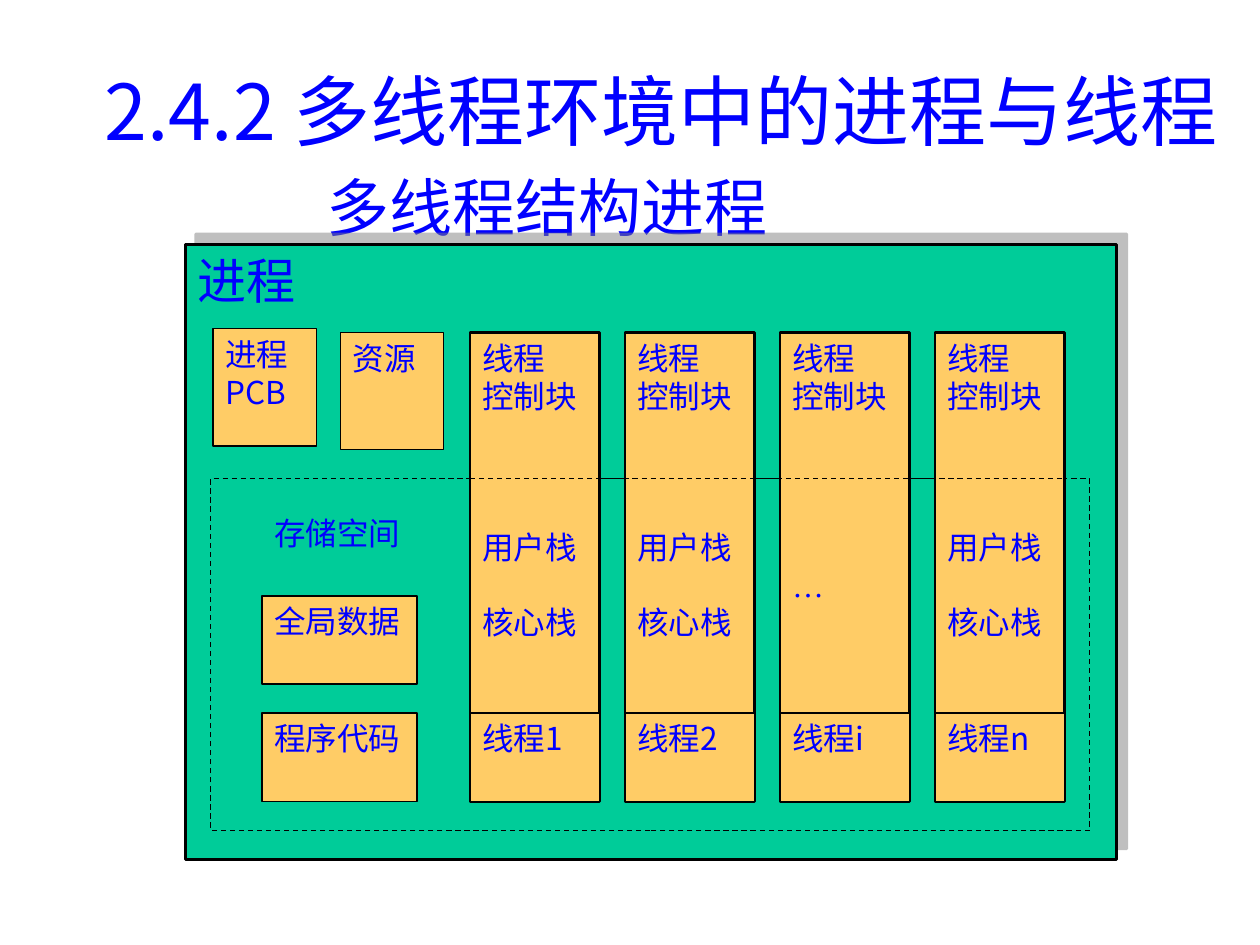
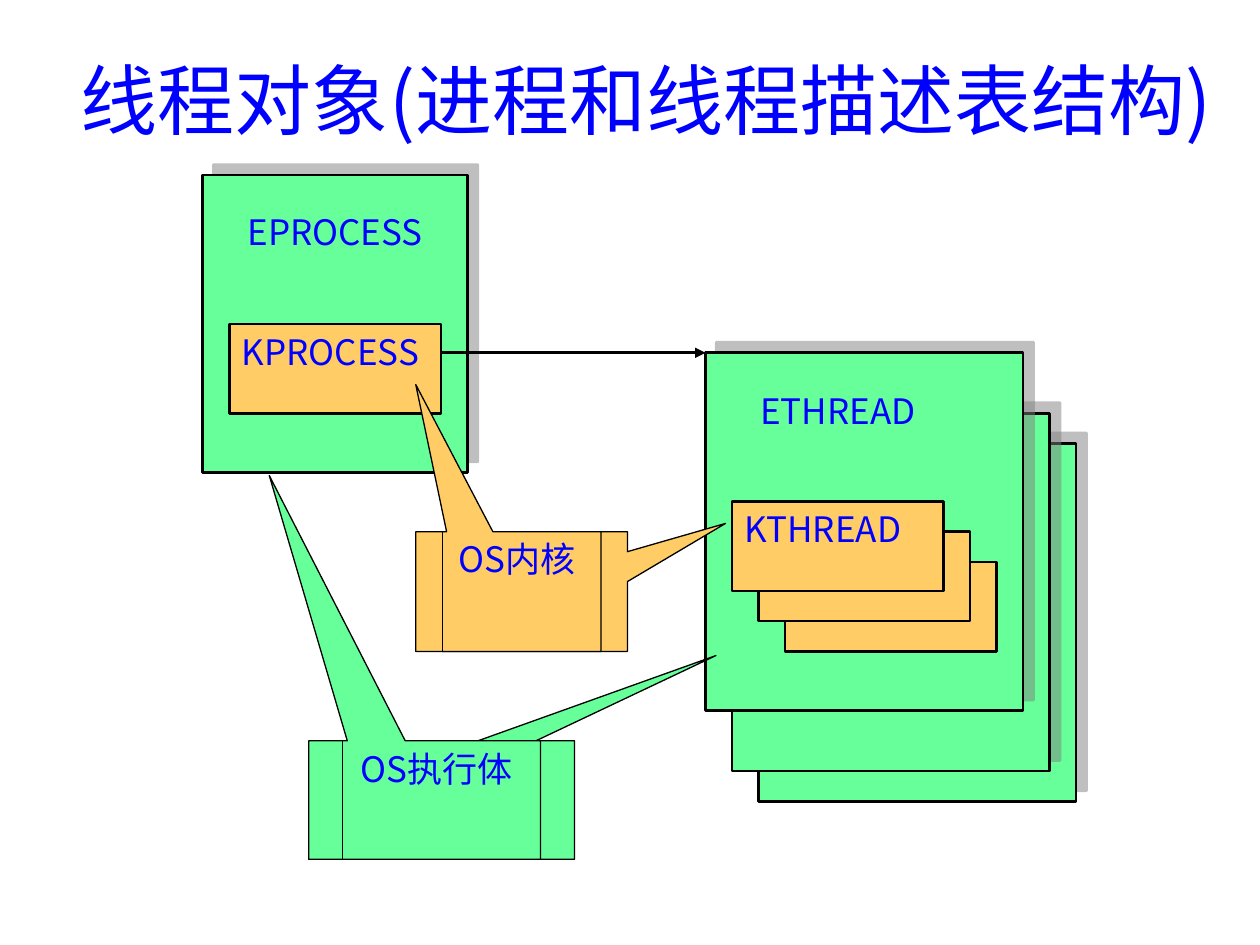
from lxml.etree import SubElement
from pptx import Presentation
from pptx.dml.color import RGBColor
from pptx.enum.dml import MSO_LINE
from pptx.enum.shapes import MSO_CONNECTOR, MSO_SHAPE
from pptx.enum.text import MSO_ANCHOR, PP_ALIGN
from pptx.oxml.ns import qn
from pptx.util import Inches, Pt

FONT, ELLIPSIS_FONT = "Noto Sans CJK JP", "Times New Roman"
TEXT, LINE, SHADOW = "0000FF", "000000", "808080"
TEAL, MINT, ORANGE = "00CC99", "66FF99", "FFCC66"
LINE_PITCH = 1.2
THIN, THICK = 0.75, 1.5


def color(value):
    return RGBColor.from_string(value)


class Deck:
    def __init__(self):
        self.presentation = Presentation()
        self.presentation.slide_width = Inches(10)
        self.presentation.slide_height = Inches(7.5)
        self.slide = None

    def new_slide(self, title, left, top, width, height):
        self.slide = self.presentation.slides.add_slide(self.presentation.slide_layouts[6])
        self.text_box(title, left, top, width, height, 44, PP_ALIGN.CENTER)

    def set_text(self, shape, lines, size, align=PP_ALIGN.LEFT, indent=0, gaps=()):
        """Fill a shape with paragraphs; gaps are the line heights left before each one."""
        text_frame = shape.text_frame
        text_frame.word_wrap = True
        text_frame.vertical_anchor = MSO_ANCHOR.TOP
        text_frame.margin_left = Inches(0.1 + indent)
        text_frame.text = lines
        for index, paragraph in enumerate(text_frame.paragraphs):
            paragraph.alignment = align
            paragraph.line_spacing = Pt(size * LINE_PITCH)
            if index < len(gaps) and gaps[index]:
                paragraph.space_before = Pt(size * LINE_PITCH * gaps[index])
            for run in paragraph.runs:
                run.font.name = ELLIPSIS_FONT if run.text == "…" else FONT
                run.font.size = Pt(size)
                run.font.color.rgb = color(TEXT)
                SubElement(run.font._element, qn("a:ea"), typeface=run.font.name)

    def text_box(self, text, left, top, width, height, size, align=PP_ALIGN.LEFT):
        shape = self.slide.shapes.add_textbox(
            Inches(left), Inches(top), Inches(width), Inches(height))
        self.set_text(shape, text, size, align)
        shape.text_frame.vertical_anchor = MSO_ANCHOR.MIDDLE

    def box(self, left, top, width, height, fill, line=THIN, shadow=False,
            dashed=False, kind=MSO_SHAPE.RECTANGLE):
        shape = self.slide.shapes.add_shape(
            kind, Inches(left), Inches(top), Inches(width), Inches(height))
        shape.fill.solid()
        shape.fill.fore_color.rgb = color(fill)
        if line:
            shape.line.color.rgb = color(LINE)
            shape.line.width = Pt(line)
        else:
            shape.line.fill.background()
        if dashed:
            shape.line.dash_style = MSO_LINE.DASH
        shape.shadow.inherit = False
        if shadow:
            self.add_shadow(shape)
        return shape

    def add_shadow(self, shape):
        effects = shape._element.spPr.find(qn("a:effectLst"))
        outer = SubElement(effects, qn("a:outerShdw"), blurRad="0", dist=str(Pt(8.5)),
                           dir=str(315 * 60000), algn="ctr", rotWithShape="0")
        shade = SubElement(outer, qn("a:srgbClr"), val=SHADOW)
        SubElement(shade, qn("a:alpha"), val="50000")

    def callout(self, left, top, width, height, fill, tip):
        """Box with a pointer; tip is its offset from the centre, in box sizes."""
        shape = self.box(left, top, width, height, fill,
                         kind=MSO_SHAPE.RECTANGULAR_CALLOUT)
        shape.adjustments[0], shape.adjustments[1] = tip
        return shape

    def connector(self, start, end, width=THIN, dashed=False, arrow=False):
        connector = self.slide.shapes.add_connector(
            MSO_CONNECTOR.STRAIGHT, *(Inches(value) for value in (*start, *end)))
        connector.line.color.rgb = color(LINE)
        connector.line.width = Pt(width)
        properties = connector._element.spPr
        if dashed:
            connector.line.dash_style = MSO_LINE.DASH
        if arrow:
            SubElement(properties.find(qn("a:ln")), qn("a:tailEnd"), type="triangle")
        SubElement(properties, qn("a:effectLst"))


def build_process_slide(deck):
    deck.new_slide("2.4.2 多线程环境中的进程与线程", 0.5, 0.37, 9.5, 1)
    deck.text_box("多线程结构进程", 2.49, 1.29, 4.5, 0.7, 36)
    process = deck.box(1.47, 1.94, 7.39, 4.88, TEAL, THICK, shadow=True)
    deck.set_text(process, "进程", 28)
    deck.box(1.67, 3.8, 6.98, 2.79, TEAL, dashed=True)

    parts = [
        ("进程PCB", 1.69, 2.61, 0.82, 0.93, ORANGE, THIN),
        ("资源", 2.7, 2.64, 0.82, 0.93, ORANGE, THIN),
        ("存储空间", 2.08, 4.03, 1.23, 0.7, TEAL, None),
        ("全局数据", 2.08, 4.73, 1.23, 0.7, ORANGE, THIN),
        ("程序代码", 2.08, 5.66, 1.23, 0.7, ORANGE, THIN),
    ]
    for text, *place in parts:
        deck.set_text(deck.box(*place), text, 18)

    stacks = ("用户栈\n核心栈", (0, 0, 3, 1))
    omitted = ("…", (0, 0, 4))
    threads = [("1", stacks), ("2", stacks), ("i", omitted), ("n", stacks)]
    for index, (number, (content, gaps)) in enumerate(threads):
        left = 3.73 + 1.23 * index
        thread = deck.box(left, 2.64, 1.03, 3.72, ORANGE, THICK)
        deck.set_text(thread, f"线程\n控制块\n{content}", 18, gaps=gaps)
        deck.set_text(deck.box(left, 5.66, 1.03, 0.7, ORANGE), f"线程{number}", 18)
    deck.connector((3.73, 3.8), (8.45, 3.8), dashed=True)


def build_thread_object_slide(deck):
    deck.new_slide("线程对象(进程和线程描述表结构)", 0.51, 0.04, 9.24, 1.48)
    for left, top in [(6.02, 3.52), (5.81, 3.28), (5.6, 2.8)]:
        deck.box(left, top, 2.52, 2.84, MINT, THICK, shadow=True)
    deck.box(1.61, 1.39, 2.1, 2.36, MINT, THICK, shadow=True)
    for name, left, top in [("EPROCESS", 1.82, 1.62), ("ETHREAD", 5.81, 3.04)]:
        label = deck.box(left, top, 1.68, 0.71, MINT, None)
        deck.set_text(label, name, 20, PP_ALIGN.CENTER)

    deck.set_text(deck.box(1.82, 2.57, 1.68, 0.71, ORANGE, THICK), "KPROCESS", 20)
    for depth in (2, 1, 0):
        kernel_thread = deck.box(5.81 + 0.21 * depth, 3.98 + 0.24 * depth,
                                 1.68, 0.71, ORANGE, THICK)
    deck.set_text(kernel_thread, "KTHREAD", 20)
    deck.connector((3.5, 2.8), (5.6, 2.8), THICK, arrow=True)

    layers = [
        ("OS内核", 3.3, 4.22, 1.47, 0.95, 0.21, ORANGE, (-0.5, -1.73), (1.03, -0.57), 0.24),
        ("OS执行体", 2.45, 5.88, 1.84, 0.94, 0.27, MINT, (-0.67, -2.74), (1.11, -1.22), 0.31),
    ]
    for text, left, top, width, height, shift, fill, process_tip, thread_tip, indent in layers:
        inner = left + shift
        deck.callout(inner, top, width, height, fill, thread_tip)
        front = deck.callout(left, top, width, height, fill, process_tip)
        deck.set_text(front, text, 20, indent=indent)
        deck.connector((inner, top), (inner, top + height))


def main():
    deck = Deck()
    build_process_slide(deck)
    build_thread_object_slide(deck)
    deck.presentation.save("out.pptx")


if __name__ == "__main__":
    main()
